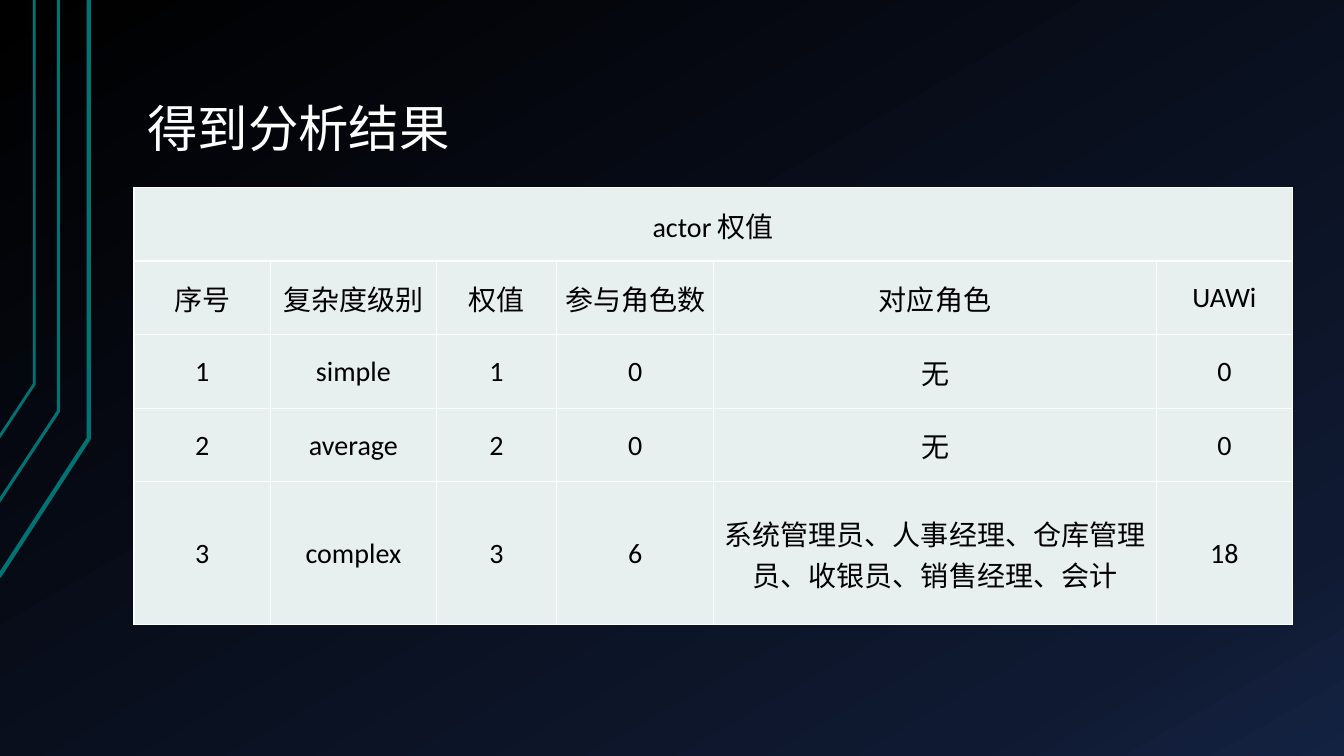
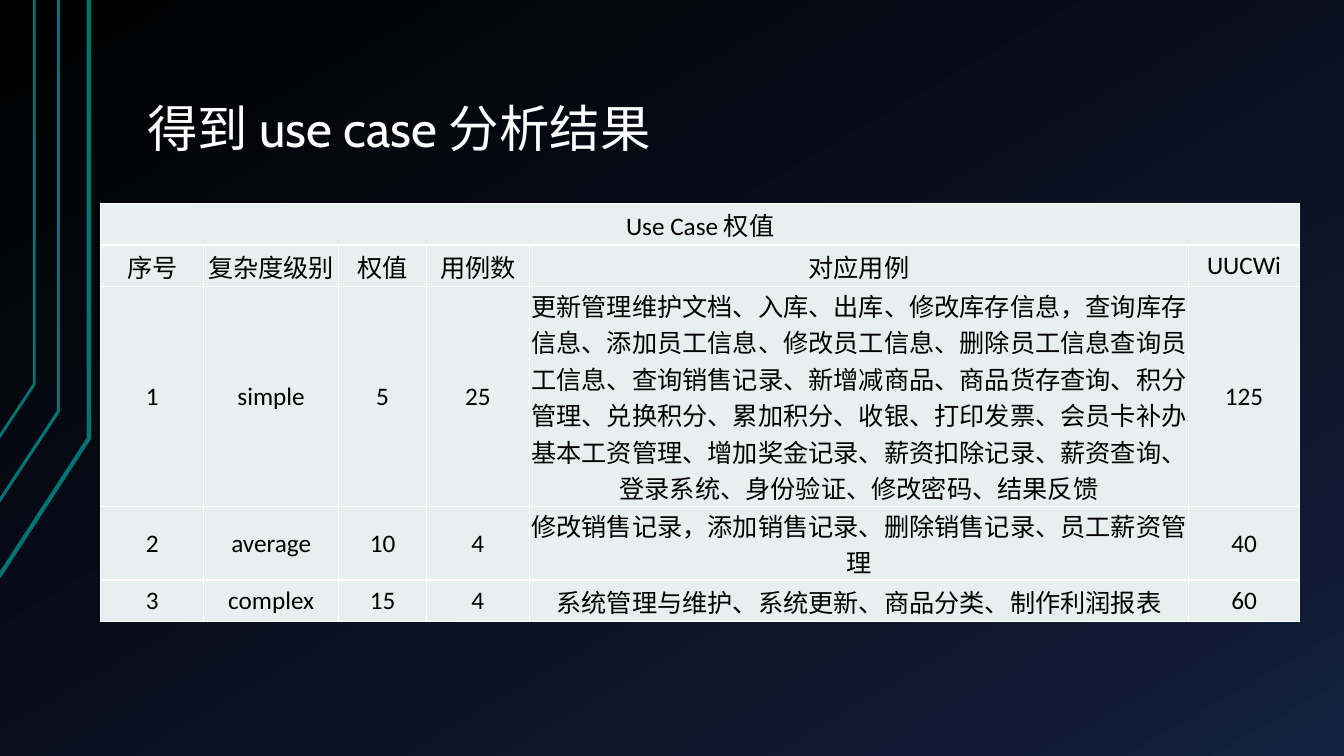
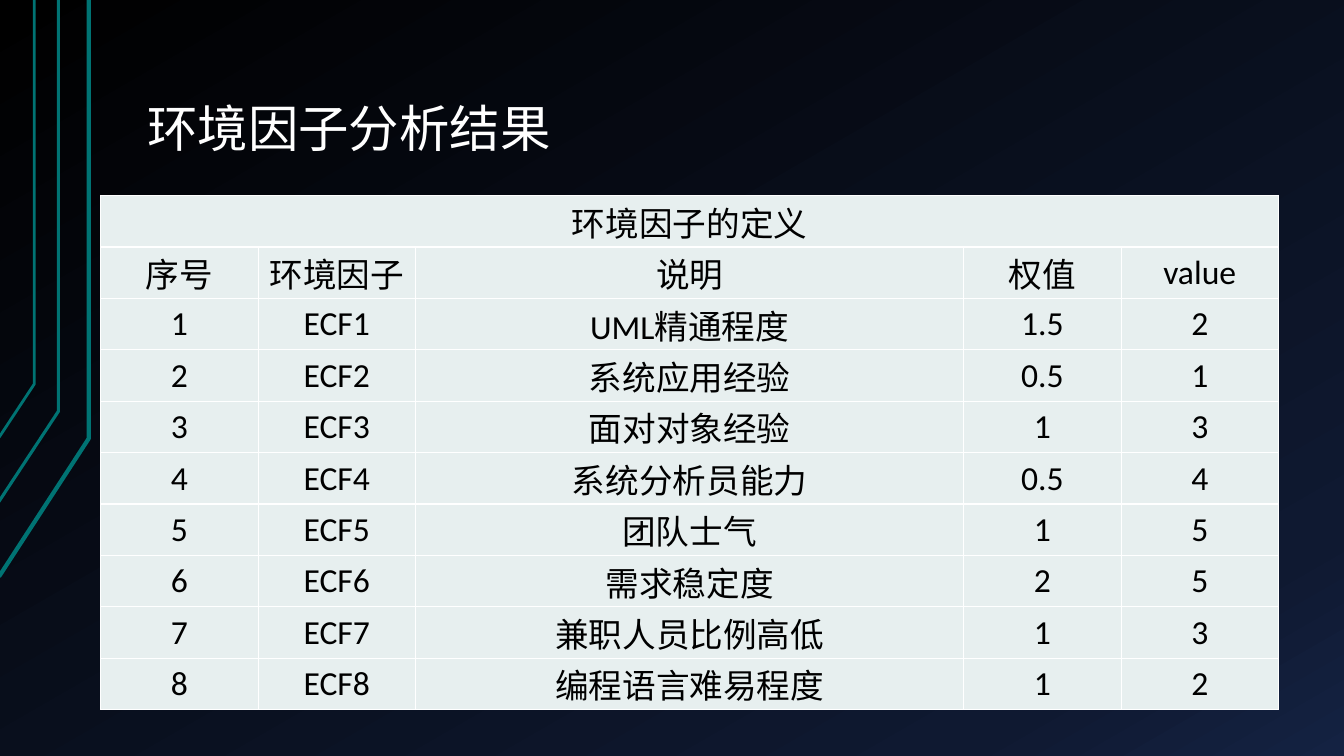
"""Build three slides with weighted analysis tables on a dark gradient."""
import copy

import pptx
import pptx.dml.color
import pptx.enum.text
import pptx.oxml
import pptx.oxml.ns
import pptx.util

Inches = pptx.util.Inches
Pt = pptx.util.Pt
ANCHOR = pptx.enum.text.MSO_ANCHOR
ALIGN = pptx.enum.text.PP_ALIGN


def colour(hex_text):
    return pptx.dml.color.RGBColor.from_string(hex_text)


def write(frame, text, font, size, hex_text, align, anchor, spacing=None):
    frame.word_wrap = True
    frame.vertical_anchor = anchor
    paragraph = frame.paragraphs[0]
    paragraph.alignment = align
    paragraph.line_spacing = spacing
    run = paragraph.add_run()
    run.text = text
    run.font.name = font
    run.font.size = Pt(size)
    run.font.color.rgb = colour(hex_text)


class Deck:
    TITLE_FONT, TABLE_FONT = "Cabin", "Calibri"
    WHITE, BLACK, TEAL, CELL = "FFFFFF", "000000", "007373", "E7EFEF"
    GRADIENT = [(0, "000000"), (0.85, "0F1931"), (1, "142242")]
    RAILS = [
        (3, [(-0.01, 5.72), (0.88, 4.35), (0.88, 0)]),
        (2.25, [(-0.02, 4.99), (0.58, 4.08), (0.58, 0)]),
        (2, [(-0.01, 4.34), (0.34, 3.81), (0.34, 0)]),
    ]

    def __init__(self):
        self.presentation = pptx.Presentation()
        self.presentation.slide_width = Inches(13.33)
        self.presentation.slide_height = Inches(7.5)
        self.layout = self.presentation.slide_layouts.get_by_name("Title Only")
        self.slide = None
        self.paint_background()

    def paint_background(self):
        fill = self.layout.background.fill
        fill.gradient()
        fill.gradient_angle = 300
        first = next(self.layout.element.iter(pptx.oxml.ns.qn("a:gs")))
        first.addnext(copy.deepcopy(first))
        for stop, (position, hex_text) in zip(fill.gradient_stops, self.GRADIENT):
            stop.position = position
            stop.color.rgb = colour(hex_text)

    def add_slide(self, title):
        self.slide = self.presentation.slides.add_slide(self.layout)
        for width, points in self.RAILS:
            self.add_rail(width, points)
        self.add_title(title)

    def add_rail(self, width, points):
        corners = [(Inches(x), Inches(y)) for x, y in points]
        builder = self.slide.shapes.build_freeform(*corners[0])
        builder.add_line_segments(corners[1:], close=False)
        shape = builder.convert_to_shape()
        shape.shadow.inherit = False
        shape.fill.background()
        shape.line.color.rgb = colour(self.TEAL)
        shape.line.width = Pt(width)

    def add_title(self, text):
        shape = self.slide.shapes.title
        shape.left, shape.top = Inches(1.33), Inches(0.3)
        shape.width, shape.height = Inches(11.33), Inches(1.34)
        frame = shape.text_frame
        frame.auto_size = pptx.enum.text.MSO_AUTO_SIZE.NONE
        frame.margin_left = frame.margin_right = Inches(0.13)
        frame.margin_top = frame.margin_bottom = Inches(0.07)
        write(frame, text, self.TITLE_FONT, 36, self.WHITE,
              ALIGN.LEFT, ANCHOR.BOTTOM, spacing=0.9)

    def add_table(self, left, top, widths, heights, size, heading, rows):
        table = self.slide.shapes.add_table(
            len(heights), len(widths), Inches(left), Inches(top),
            Inches(sum(widths)), Inches(sum(heights))).table
        table.first_row = table.horz_banding = False
        for column, width in zip(table.columns, widths):
            column.width = Inches(width)
        for row, height in zip(table.rows, heights):
            row.height = Inches(height)
        table.cell(0, 0).merge(table.cell(0, len(widths) - 1))
        for row, values in zip(table.rows, [[heading], *rows]):
            for cell in row.cells:
                self.format_cell(cell)
            for cell, value in zip(row.cells, values):
                write(cell.text_frame, value, self.TABLE_FONT, size, self.BLACK,
                      ALIGN.CENTER, ANCHOR.MIDDLE)

    def format_cell(self, cell):
        cell.margin_left = cell.margin_right = cell.margin_top = Inches(0.01)
        cell.margin_bottom = 0
        cell.vertical_anchor = ANCHOR.MIDDLE
        cell.fill.solid()
        cell.fill.fore_color.rgb = colour(self.CELL)
        properties = cell._tc.get_or_add_tcPr()
        for index, side in enumerate("LRTB"):
            properties.insert(index, pptx.oxml.parse_xml(
                f'<a:ln{side} {pptx.oxml.ns.nsdecls("a")} w="{Pt(1)}"><a:solidFill>'
                f'<a:srgbClr val="{self.WHITE}"/></a:solidFill></a:ln{side}>'))


deck = Deck()

deck.add_slide("得到分析结果")
deck.add_table(
    1.33, 1.86, [1.35, 1.65, 1.19, 1.56, 4.39, 1.35], [0.73] * 4 + [1.42], 20,
    "actor 权值", [
        ["序号", "复杂度级别", "权值", "参与角色数", "对应角色", "UAWi"],
        ["1", "simple", "1", "0", "无", "0"],
        ["2", "average", "2", "0", "无", "0"],
        ["3", "complex", "3", "6",
         "系统管理员、人事经理、仓库管理员、收银员、销售经理、会计", "18"],
    ])

deck.add_slide("得到 use case 分析结果")
simple_cases = (
    "更新管理维护文档、入库、出库、修改库存信息，查询库存信息、添加员工信息、"
    "修改员工信息、删除员工信息查询员工信息、查询销售记录、新增减商品、"
    "商品货存查询、积分管理、兑换积分、累加积分、收银、打印发票、会员卡补办、"
    "基本工资管理、增加奖金记录、薪资扣除记录、薪资查询、登录系统、身份验证、"
    "修改密码、结果反馈")
deck.add_table(
    1, 2.02, [1.02, 1.34, 0.87, 1.02, 6.54, 1.1], [0.41, 0.41, 2.09, 0.41, 0.41], 18,
    "Use Case 权值", [
        ["序号", "复杂度级别", "权值", "用例数", "对应用例", "UUCWi"],
        ["1", "simple", "5", "25", simple_cases, "125"],
        ["2", "average", "10", "4",
         "修改销售记录，添加销售记录、删除销售记录、员工薪资管理", "40"],
        ["3", "complex", "15", "4",
         "系统管理与维护、系统更新、商品分类、制作利润报表", "60"],
    ])

deck.add_slide("环境因子分析结果")
factors = [
    ("UML精通程度", "1.5", "2"),
    ("系统应用经验", "0.5", "1"),
    ("面对对象经验", "1", "3"),
    ("系统分析员能力", "0.5", "4"),
    ("团队士气", "1", "5"),
    ("需求稳定度", "2", "5"),
    ("兼职人员比例高低", "1", "3"),
    ("编程语言难易程度", "1", "2"),
]
deck.add_table(
    1, 1.94, [1.56, 1.56, 5.44, 1.56, 1.56], [0.51] * 10, 24,
    "环境因子的定义", [
        ["序号", "环境因子", "说明", "权值", "value"],
        *([str(number), f"ECF{number}", *factor]
          for number, factor in enumerate(factors, 1)),
    ])

deck.presentation.save("out.pptx")
